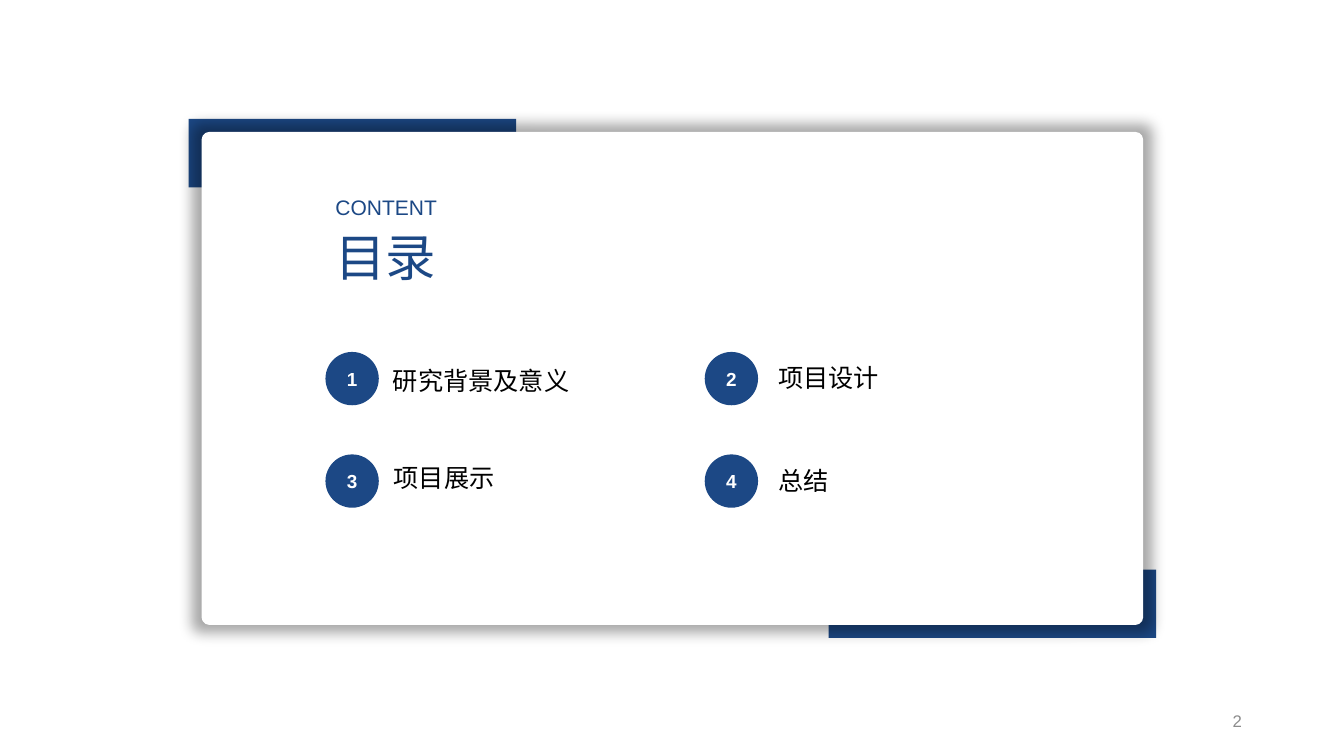
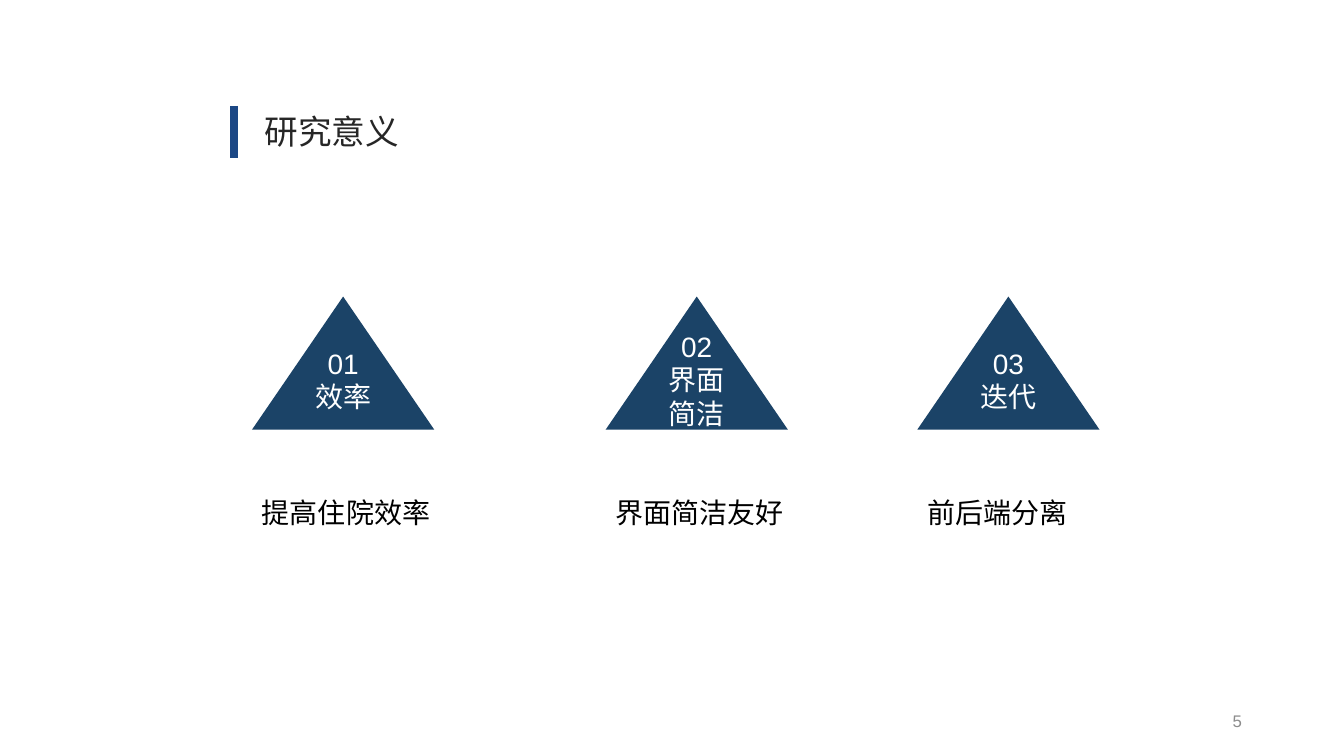
import dataclasses

import lxml.etree
import pptx
import pptx.dml.color
import pptx.enum.shapes
import pptx.enum.text
import pptx.oxml.ns
import pptx.util

SHAPES = pptx.enum.shapes.MSO_SHAPE
ALIGN = pptx.enum.text.PP_ALIGN
ANCHOR = pptx.enum.text.MSO_ANCHOR
COLUMNS, ROWS = 32, 18


@dataclasses.dataclass(frozen=True)
class Theme:
    """Colours, type sizes and font shared by the slides."""
    font: str = "Arial"
    blue: str = "1C4885"
    navy: str = "1B4367"
    white: str = "FFFFFF"
    black: str = "000000"
    charcoal: str = "262626"
    grey: str = "8C8C8C"
    contents_title: float = 36
    slide_title: float = 24
    body: float = 20
    entry: float = 18
    kicker: float = 15
    badge: float = 13.5
    page: float = 12
    bar: float = 6


class Deck:
    """Holds the theme and the current slide, and draws on a 32 by 18 grid."""

    def __init__(self, theme):
        """Start an empty widescreen presentation."""
        self.theme = theme
        self.presentation = pptx.Presentation()
        self.presentation.slide_height = pptx.util.Inches(7.5)
        self.cell = self.presentation.slide_height / ROWS
        self.presentation.slide_width = round(self.cell * COLUMNS)
        self.slide = None

    def grid(self, *cells):
        """Turn grid cells into slide lengths."""
        return [pptx.util.Emu(round(value * self.cell)) for value in cells]

    def color(self, value):
        """Make a colour from its hexadecimal text."""
        return pptx.dml.color.RGBColor.from_string(value)

    def start(self, page):
        """Add a title-only slide with its page number."""
        layout = self.presentation.slide_layouts[5]
        self.slide = self.presentation.slides.add_slide(layout)
        self.text((22.61, 16.68, 7.2, 0.96), page, self.theme.page,
                  self.theme.grey, ALIGN.RIGHT, ANCHOR.MIDDLE)

    def fill_text(self, shape, lines, size, color, align,
                  anchor=ANCHOR.TOP, bold=False):
        """Put one paragraph per line into a shape."""
        frame = shape.text_frame
        frame.word_wrap = True
        frame.auto_size = pptx.enum.text.MSO_AUTO_SIZE.NONE
        frame.vertical_anchor = anchor
        for index, line in enumerate(lines):
            paragraph = frame.add_paragraph() if index else frame.paragraphs[0]
            paragraph.alignment = align
            run = paragraph.add_run()
            run.text = line
            run.font.name = self.theme.font
            run.font.size = pptx.util.Pt(size)
            run.font.bold = bold
            run.font.color.rgb = self.color(color)

    def title(self, box, words, size, color, align):
        """Place the title in front of what is drawn so far."""
        title = self.slide.shapes.title
        title.left, title.top, title.width, title.height = self.grid(*box)
        self.slide.shapes.element.append(title.element)
        self.fill_text(title, [words], size, color, align)

    def text(self, box, words, size, color, align, anchor=ANCHOR.TOP):
        """Add a one-paragraph text box."""
        shape = self.slide.shapes.add_textbox(*self.grid(*box))
        self.fill_text(shape, [words], size, color, align, anchor)

    def shape(self, kind, box, fill):
        """Add a plain filled shape without line or shadow."""
        shape = self.slide.shapes.add_shape(kind, *self.grid(*box))
        shape.fill.solid()
        shape.fill.fore_color.rgb = self.color(fill)
        shape.line.fill.background()
        shape.shadow.inherit = False
        return shape

    def panel(self, box, edge, corner):
        """Add a white card with a soft shadow and two blue corners."""
        left, top, width, height = box
        wide, high = corner
        for x, y in ((left + width + edge - wide, top + height + edge - high),
                     (left - edge, top - edge)):
            self.shape(SHAPES.RECTANGLE, (x, y, wide, high), self.theme.blue)
        card = self.shape(SHAPES.ROUNDED_RECTANGLE, box, self.theme.white)
        card.adjustments[0] = 0.016
        name = pptx.oxml.ns.qn
        effects = card.element.spPr.find(name("a:effectLst"))
        shadow = lxml.etree.SubElement(
            effects, name("a:outerShdw"), blurRad="127000", sx="102000",
            sy="103000", algn="ctr", rotWithShape="0")
        black = lxml.etree.SubElement(shadow, name("a:srgbClr"),
                                      val=self.theme.black)
        lxml.etree.SubElement(black, name("a:alpha"), val="35000")

    def badge(self, left, top, number):
        """Add a numbered circle."""
        circle = self.shape(SHAPES.OVAL, (left, top, 1.27, 1.27),
                            self.theme.blue)
        self.fill_text(circle, [number], self.theme.badge, self.theme.white,
                       ALIGN.CENTER, ANCHOR.MIDDLE, True)

    def triangle(self, box, lines):
        """Add a triangle with its text raised by half a line."""
        triangle = self.shape(SHAPES.ISOSCELES_TRIANGLE, box, self.theme.navy)
        self.fill_text(triangle, lines, self.theme.body, self.theme.white,
                       ALIGN.CENTER, ANCHOR.MIDDLE)
        triangle.text_frame.margin_bottom = pptx.util.Inches(0.38)

    def bar(self, x, top, bottom):
        """Add the thick upright line beside a title."""
        line = self.slide.shapes.add_connector(
            pptx.enum.shapes.MSO_CONNECTOR.STRAIGHT,
            *self.grid(x, top, x, bottom))
        line.line.color.rgb = self.color(self.theme.blue)
        line.line.width = pptx.util.Pt(self.theme.bar)
        lxml.etree.SubElement(line.element.spPr,
                              pptx.oxml.ns.qn("a:effectLst"))


def build_contents(deck):
    """Build the table of contents."""
    theme = deck.theme
    left = 7.75
    deck.start("2")
    deck.panel((4.8, 3.14, 22.42, 11.74), 0.31, (7.8, 1.63))
    deck.title((left, 5.26, 4.58, 1.7), "目录", theme.contents_title,
               theme.blue, ALIGN.JUSTIFY)
    deck.text((left, 4.51, 4.58, 0.84), "CONTENT", theme.kicker,
              theme.blue, ALIGN.JUSTIFY)
    entries = (("研究背景及意义", 1.37, 0.19), ("项目设计", 1.51, 0.14),
               ("项目展示", 1.39, 0.08), ("总结", 1.51, 0.15))
    for index, (words, indent, drop) in enumerate(entries):
        row, column = divmod(index, 2)
        x, y = left + 9.03 * column, 8.38 + 2.44 * row
        deck.badge(x, y, str(index + 1))
        deck.text((x + indent, y + drop, 7.3, 0.96), words, theme.entry,
                  theme.black, ALIGN.JUSTIFY)


def build_significance(deck):
    """Build the three reasons for the research."""
    theme = deck.theme
    top, height = 2.52, 1.25
    deck.start("5")
    deck.title((4.99, top, 5.83, height), "研究意义", theme.slide_title,
               theme.charcoal, ALIGN.CENTER)
    deck.bar(5.57, top, top + height)
    reasons = ((6, "效率", "提高住院效率", 4.61, 3.48),
               (14.42, "界面简洁", "界面简洁友好", 4.92, 1.06),
               (21.84, "迭代", "前后端分离", 6.94, 2.66))
    for number, (x, name, detail, wide, high) in enumerate(reasons, 1):
        deck.triangle((x, 7.06, 4.34, 3.17), [f"{number:02d}", name])
        deck.text((x, 11.67, wide, high), detail, theme.body,
                  theme.black, ALIGN.LEFT)


def main():
    """Build and save the presentation."""
    deck = Deck(Theme())
    build_contents(deck)
    build_significance(deck)
    deck.presentation.save("out.pptx")


main()
